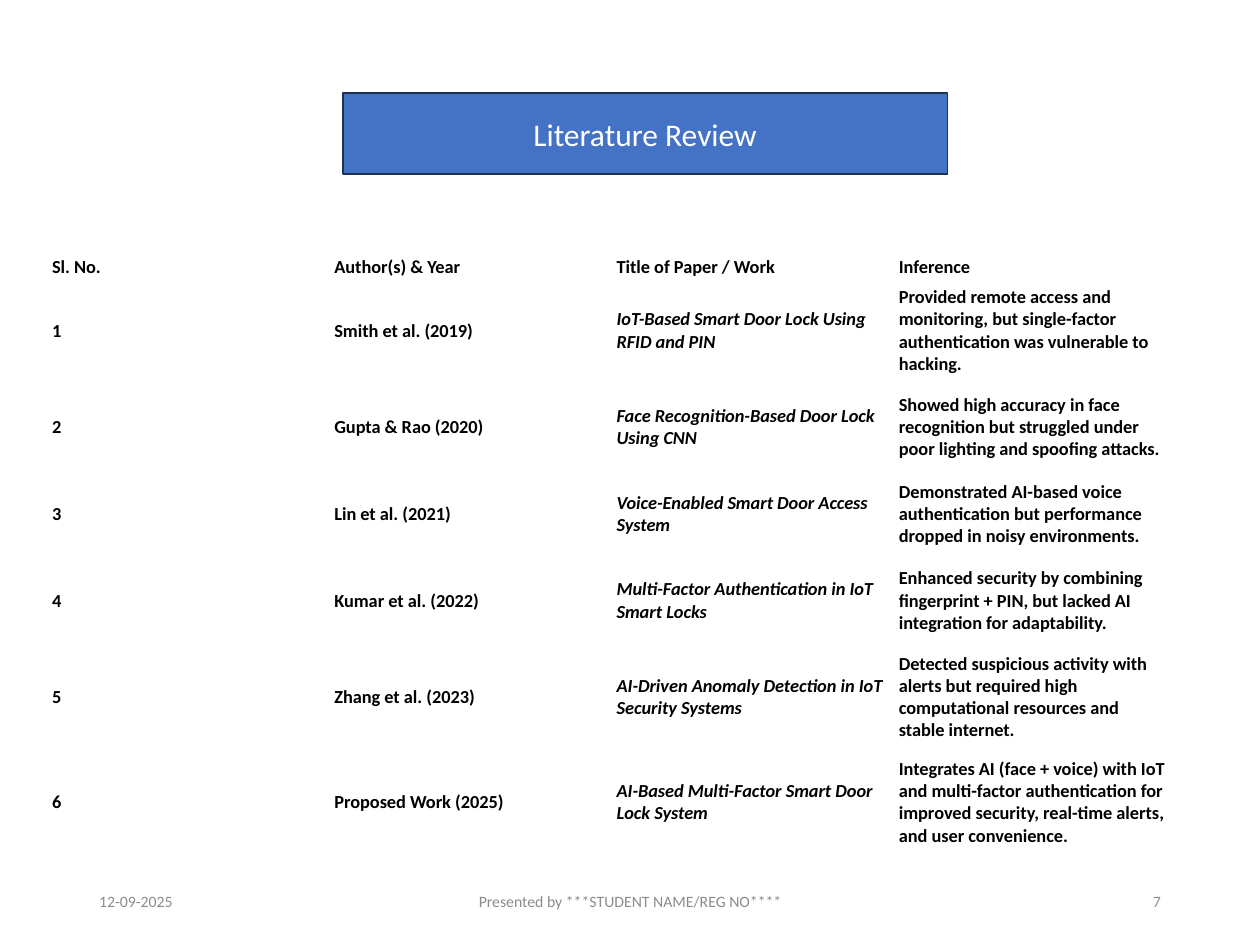
from pptx import Presentation
from pptx.dml.color import RGBColor
from pptx.enum.text import MSO_ANCHOR, MSO_AUTO_SIZE, PP_ALIGN
from pptx.oxml import parse_xml
from pptx.oxml.ns import nsdecls
from pptx.util import Cm, Pt

HEADINGS = ("Sl. No.", "Author(s) & Year", "Title of Paper / Work", "Inference")
PAPERS = (
    ("Smith et al. (2019)", "IoT-Based Smart Door Lock Using RFID and PIN",
     "Provided remote access and monitoring, but single-factor authentication "
     "was vulnerable to hacking."),
    ("Gupta & Rao (2020)", "Face Recognition-Based Door Lock Using CNN",
     "Showed high accuracy in face recognition but struggled under poor "
     "lighting and spoofing attacks."),
    ("Lin et al. (2021)", "Voice-Enabled Smart Door Access System",
     "Demonstrated AI-based voice authentication but performance dropped in "
     "noisy environments."),
    ("Kumar et al. (2022)", "Multi-Factor Authentication in IoT Smart Locks",
     "Enhanced security by combining fingerprint + PIN, but lacked AI "
     "integration for adaptability."),
    ("Zhang et al. (2023)", "AI-Driven Anomaly Detection in IoT Security Systems",
     "Detected suspicious activity with alerts but required high computational "
     "resources and stable internet."),
    ("Proposed Work (2025)", "AI-Based Multi-Factor Smart Door Lock System",
     "Integrates AI (face + voice) with IoT and multi-factor authentication for "
     "improved security, real-time alerts, and user convenience."),
)
ROW_HEIGHTS = (0.5, 1.93, 1.93, 1.57, 1.93, 1.93, 2.29)
COLUMN_WIDTH = 5.69
TITLE_COLUMN = 2
FOOTERS = (
    (1.75, 5.72, "12-09-2025", PP_ALIGN.LEFT),
    (8.41, 8.58, "Presented by ***STUDENT NAME/REG NO****", PP_ALIGN.CENTER),
    (17.93, 5.72, "7", PP_ALIGN.RIGHT),
)


def color(value):
    """Turn a hex string into a colour."""
    return RGBColor.from_string(value)


def write(frame, text, size, shade, align=PP_ALIGN.LEFT, bold=False, italic=False):
    """Put one formatted paragraph into a text frame."""
    frame.text = text
    para = frame.paragraphs[0]
    para.alignment = align
    for span in para.runs:
        span.font.name = "Calibri"
        span.font.size = Pt(size)
        span.font.bold = bold
        span.font.italic = italic
        span.font.color.rgb = color(shade)


def format_title(title, text):
    """Turn the title placeholder into a filled rounded bar."""
    title.left, title.top = Cm(6.91), Cm(1.88)
    title.width, title.height = Cm(12.19), Cm(1.63)
    title.element.spPr.append(parse_xml(
        f'<a:prstGeom {nsdecls("a")} prst="roundRect"><a:avLst/></a:prstGeom>'))
    title.fill.solid()
    title.fill.fore_color.rgb = color("4472C4")
    title.line.color.rgb = color("1E3256")
    title.line.width = Pt(1)
    frame = title.text_frame
    frame.auto_size = MSO_AUTO_SIZE.NONE
    frame.vertical_anchor = MSO_ANCHOR.MIDDLE
    write(frame, text, 18, "FFFFFF", PP_ALIGN.CENTER)


def add_review_table(page):
    """Add the table of reviewed papers."""
    rows = [HEADINGS]
    rows += [(str(number), *paper) for number, paper in enumerate(PAPERS, 1)]
    table = page.shapes.add_table(
        len(rows), len(HEADINGS), Cm(0.89), Cm(5.08),
        Cm(COLUMN_WIDTH * len(HEADINGS)), Cm(sum(ROW_HEIGHTS))).table
    table.first_row = False
    table.horz_banding = False
    for column in table.columns:
        column.width = Cm(COLUMN_WIDTH)
    for row_index, (texts, height) in enumerate(zip(rows, ROW_HEIGHTS)):
        table.rows[row_index].height = Cm(height)
        for column_index, text in enumerate(texts):
            cell = table.cell(row_index, column_index)
            cell.fill.background()
            cell.vertical_anchor = MSO_ANCHOR.MIDDLE
            cell.margin_left = cell.margin_right = Cm(0.16)
            cell.margin_top = cell.margin_bottom = Cm(0.08)
            write(cell.text_frame, text, 10.5, "000000", bold=True,
                  italic=row_index > 0 and column_index == TITLE_COLUMN)


def add_footer(page, left, width, text, align):
    """Add one grey text box at the foot of the page."""
    box = page.shapes.add_textbox(Cm(left), Cm(17.65), Cm(width), Cm(1.02))
    frame = box.text_frame
    frame.word_wrap = True
    frame.vertical_anchor = MSO_ANCHOR.MIDDLE
    write(frame, text, 9, "8C8C8C", align)


def main():
    """Build the literature review slide."""
    deck = Presentation()
    deck.slide_width, deck.slide_height = Cm(25.4), Cm(19.05)
    page = deck.slides.add_slide(deck.slide_layouts[5])
    format_title(page.shapes.title, "Literature Review")
    add_review_table(page)
    for footer in FOOTERS:
        add_footer(page, *footer)
    deck.save("out.pptx")


if __name__ == "__main__":
    main()
